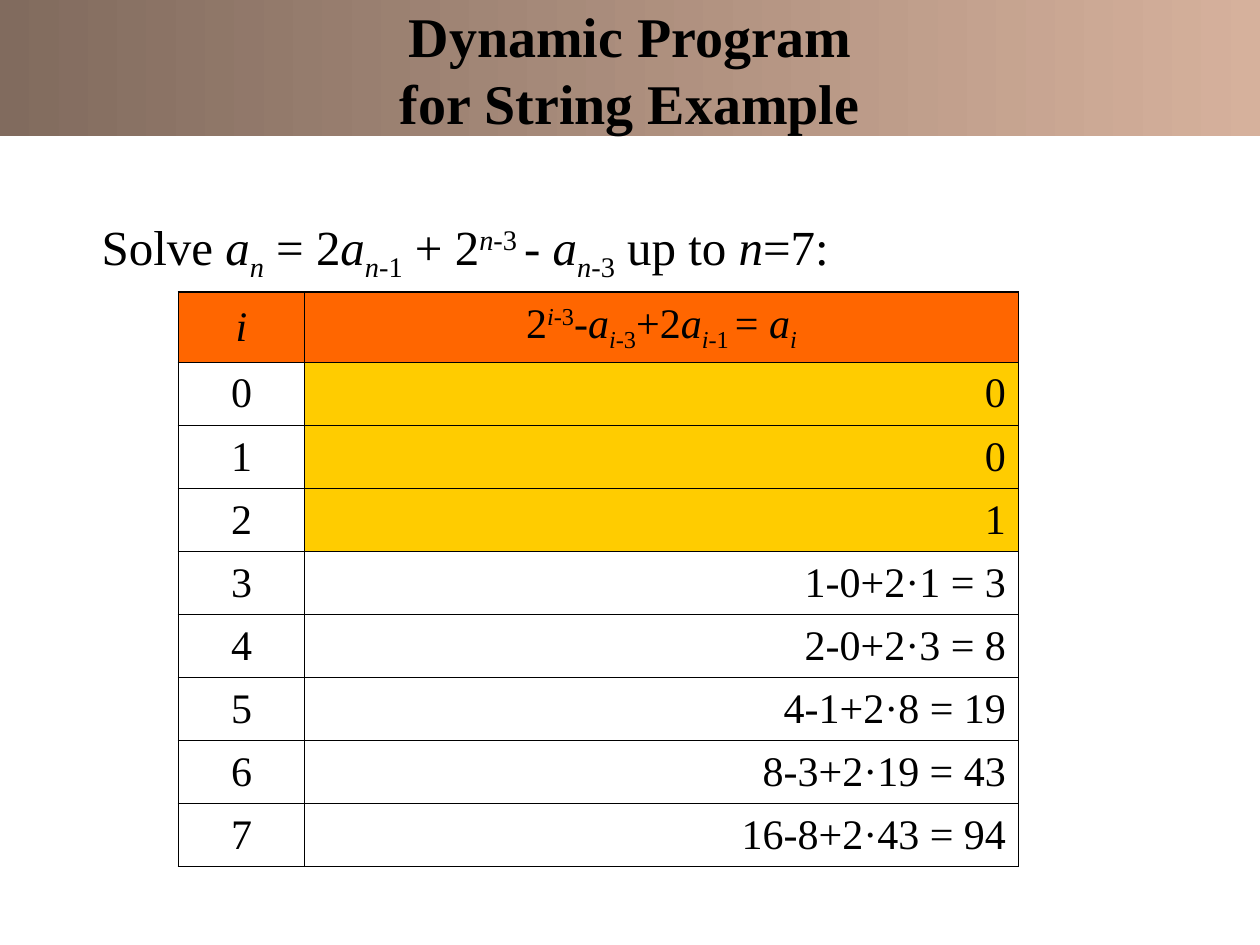
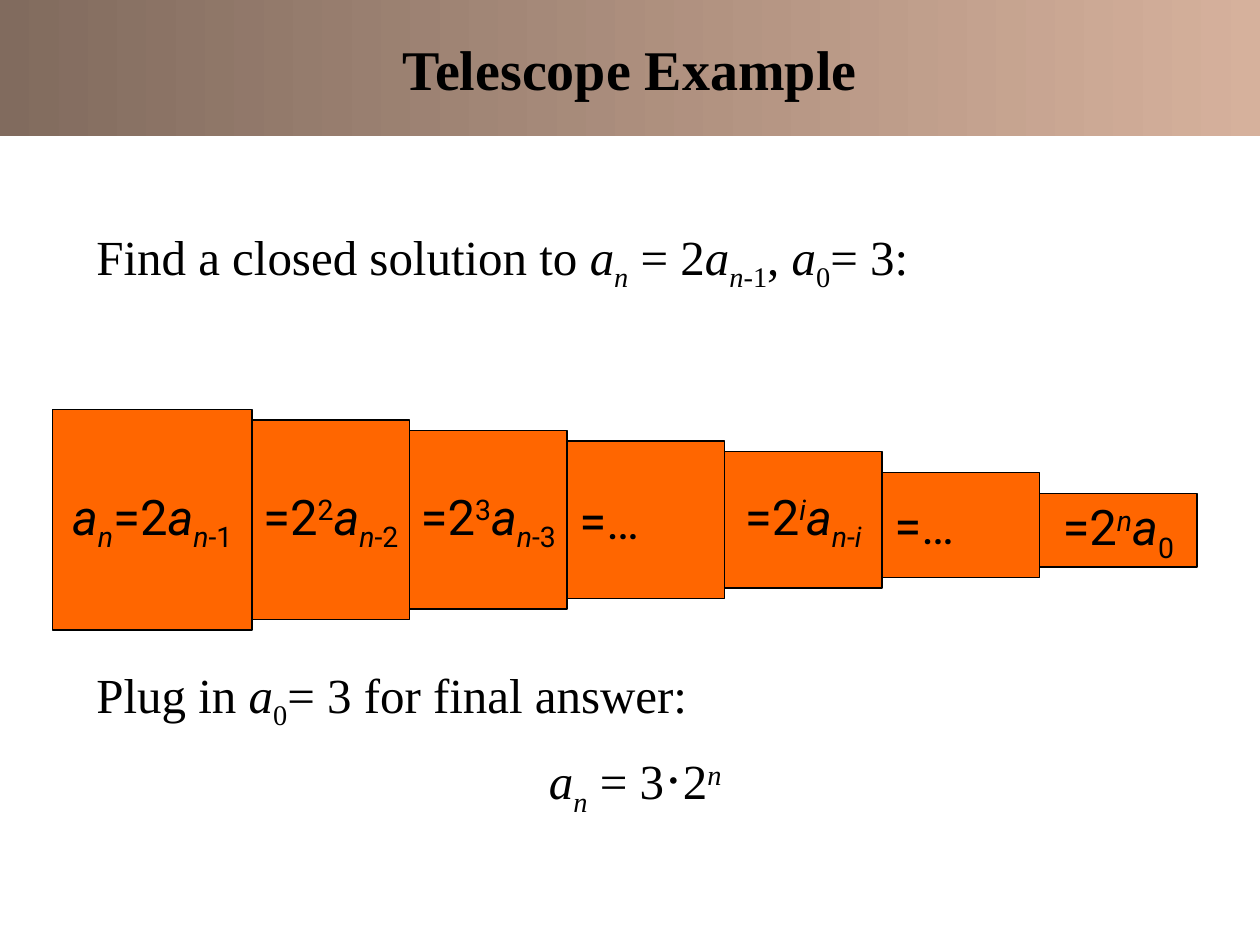
import pptx
import pptx.dml.color
import pptx.enum.text
import pptx.oxml
import pptx.oxml.ns
import pptx.util

Pt = pptx.util.Pt
ALIGN = pptx.enum.text.PP_ALIGN
MIDDLE = pptx.enum.text.MSO_ANCHOR.MIDDLE
SERIF, SANS = "Times New Roman", "Roboto"
BLACK, WHITE, ORANGE, YELLOW = "000000", "FFFFFF", "FF6600", "FFCC00"
BAND_START, BAND_END = "816B5E", "D6B19C"
BASELINES = {"_": "-25000", "^": "30000"}


def colour(hex_value):
    return pptx.dml.color.RGBColor.from_string(hex_value)


# Pieces are split at "|"; a leading * means italic, _ subscript, ^ superscript.
def write_formula(paragraph, markup, size, font=SERIF, align=ALIGN.LEFT, before=0):
    paragraph.alignment = align
    paragraph.space_before = Pt(before)
    for piece in markup.split("|"):
        text = piece.lstrip("*_^")
        marks = piece[:len(piece) - len(text)]
        run = paragraph.add_run()
        run.text = text
        run.font.name = font
        run.font.size = Pt(32 if text == "·" else size)
        run.font.italic = "*" in marks
        run.font.color.rgb = colour(BLACK)
        for mark in marks.replace("*", ""):
            run.font._element.set("baseline", BASELINES[mark])


deck = pptx.Presentation()
deck.slide_width, deck.slide_height = Pt(720), Pt(540)

slides = []
for heading in ["Dynamic Program\vfor String Example", "Telescope Example"]:
    slide = deck.slides.add_slide(deck.slide_layouts[5])
    slides.append(slide)
    band = slide.shapes.title
    band.left, band.top, band.width, band.height = Pt(0), Pt(0), Pt(720), Pt(78)
    band.fill.gradient()
    band.fill.gradient_angle = 0
    for stop, shade in zip(band.fill.gradient_stops, [BAND_START, BAND_END]):
        stop.color.rgb = colour(shade)
    band.text_frame.text = heading
    band.text_frame.auto_size = pptx.enum.text.MSO_AUTO_SIZE.NONE
    band.text_frame.vertical_anchor = MIDDLE
    band.text_frame.paragraphs[0].alignment = ALIGN.CENTER
    for run in band.text_frame.paragraphs[0].runs:
        run.font.name = SERIF
        run.font.size = Pt(32)
        run.font.bold = True
        run.font.color.rgb = colour(BLACK)

string_slide, telescope_slide = slides

task = string_slide.shapes.add_textbox(Pt(51), Pt(120), Pt(663), Pt(48)).text_frame
task.word_wrap = True
write_formula(task.paragraphs[0],
              "Solve |*a|*_n| = 2|*a|*_n|_-1| + 2|*^n|^-3 |- |*a|*_n|_-3| up to |*n|=7:",
              28, before=7)

results = ["0", "0", "1", "1-0+2·1 = 3", "2-0+2·3 = 8", "4-1+2·8 = 19",
           "8-3+2·19 = 43", "16-8+2·43 = 94"]
rows = [("*i", "2|*^i|^-3|-|*a|*_i|_-3|+2|*a|*_i|_-1 |=|* a|*_i")]
rows += [(str(index), result) for index, result in enumerate(results)]
values = string_slide.shapes.add_table(len(rows), 2, Pt(102), Pt(167), Pt(480), Pt(328)).table
values.first_row = values.horz_banding = False
values.columns[0].width, values.columns[1].width = Pt(72), Pt(408)
last = len(rows) - 1
for r, row in enumerate(rows):
    values.rows[r].height = Pt(40 if r == 0 else 36)
    for c, markup in enumerate(row):
        cell = values.cell(r, c)
        cell.vertical_anchor = MIDDLE
        cell.fill.solid()
        fill = ORANGE if r == 0 else YELLOW if c == 1 and r <= 3 else WHITE
        cell.fill.fore_color.rgb = colour(fill)
        align = ALIGN.RIGHT if r and c else ALIGN.CENTER
        write_formula(cell.text_frame.paragraphs[0], markup, 24, align=align, before=6)
        edges = [("L", c == 0), ("R", c == 1), ("T", r == 0), ("B", r == last)]
        for position, (side, outer) in enumerate(edges):
            width = Pt(1.08 if outer else 0.45)
            cell._tc.get_or_add_tcPr().insert(position, pptx.oxml.parse_xml(
                f'<a:ln{side} {pptx.oxml.ns.nsdecls("a")} w="{width}"><a:solidFill>'
                f'<a:srgbClr val="{BLACK}"/></a:solidFill></a:ln{side}>'))

solution = telescope_slide.shapes.add_textbox(Pt(48), Pt(126), Pt(630), Pt(390)).text_frame
solution.word_wrap = True
lines = [("Find a closed solution to |*a|*_n| = 2|*a|*_n|_-1|, |*a|_0|= 3:", ALIGN.LEFT, 7),
         ("Plug in |*a|_0|= 3 for final answer:", ALIGN.LEFT, 212),
         ("*a|*_n| = 3|·|2|*^n", ALIGN.CENTER, 7)]
for number, (markup, align, before) in enumerate(lines):
    paragraph = solution.add_paragraph() if number else solution.paragraphs[0]
    write_formula(paragraph, markup, 28, align=align, before=before)

segments = [("*a|*_n|=2|*a|*_n|_-1", 126), ("=2|^2|*a|*_n|_-2", 114),
            ("=2|^3|*a|*_n|_-3", 102), ("=…", 90), ("=2|*^i|*a|*_n|_-|*_i", 78),
            ("=…", 60), ("=2|*^n|*a|_0", 42)]
left = 30
for number, (markup, height) in enumerate(segments):
    width = 90 if number else 114
    bottom = 360 - 6 * number
    segment = telescope_slide.shapes.add_shape(
        pptx.enum.shapes.MSO_SHAPE.RECTANGLE, Pt(left), Pt(bottom - height), Pt(width), Pt(height))
    segment.shadow.inherit = False
    segment.fill.solid()
    segment.fill.fore_color.rgb = colour(ORANGE)
    segment.line.color.rgb = colour(BLACK)
    segment.line.width = Pt(0.75)
    segment.text_frame.word_wrap = False
    segment.text_frame.vertical_anchor = MIDDLE
    align = ALIGN.LEFT if markup == "=…" else ALIGN.CENTER
    write_formula(segment.text_frame.paragraphs[0], markup, 28, SANS, align)
    left += width

deck.save("out.pptx")
